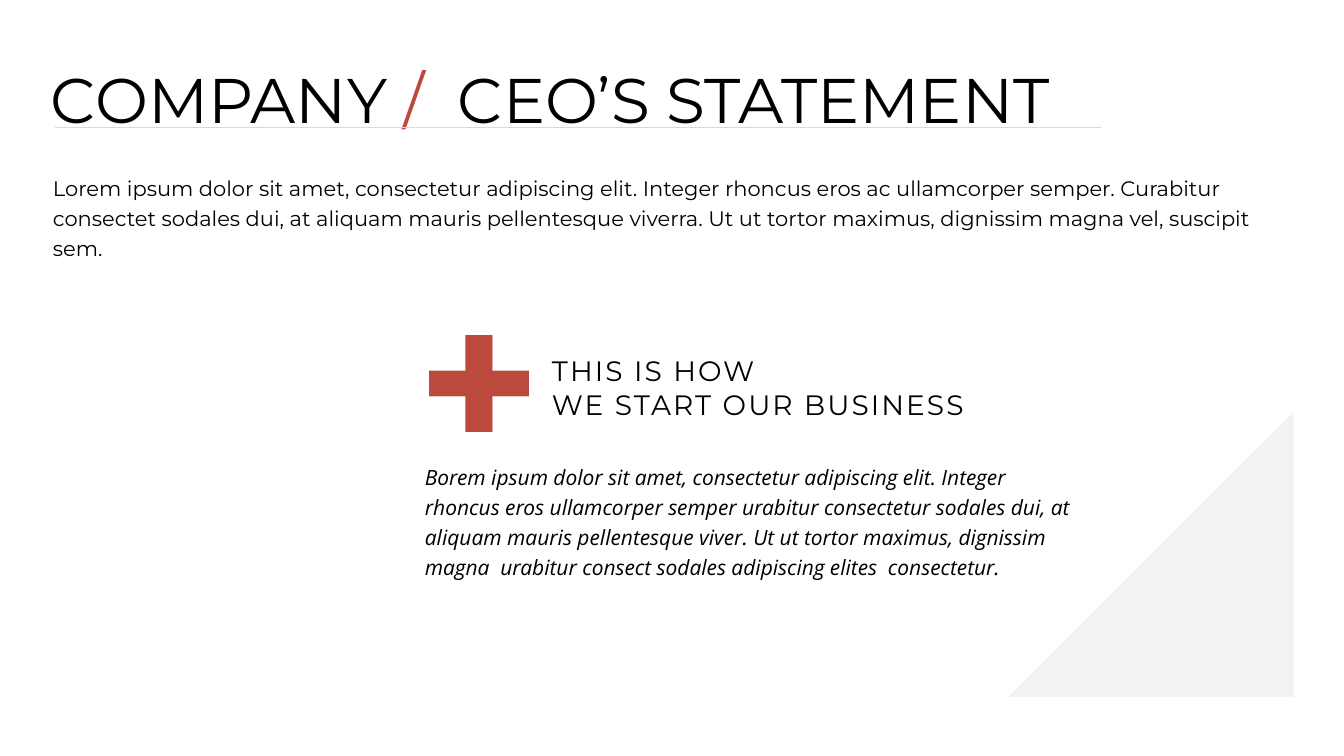
from collections import namedtuple
from dataclasses import dataclass

from lxml import etree
from pptx import Presentation
from pptx.dml.color import RGBColor
from pptx.enum import shapes, text
from pptx.oxml import ns
from pptx.util import Pt

Box = namedtuple("Box", "x y w h")


@dataclass(frozen=True)
class Theme:
    heading: str = "Montserrat"
    quote: str = "Open Sans"
    ink: str = "000000"
    accent: str = "BB493C"
    rule: str = "D9D9D9"
    corner: str = "F2F2F2"
    title_size: int = 90
    body_size: int = 30
    subhead_size: int = 40
    plus_size: int = 300


THEME = Theme()


def rgb(value):
    return RGBColor.from_string(value)


def place(sp, box):
    sp.left, sp.top, sp.width, sp.height = (Pt(v) for v in box)


def text_box(s, box):
    return s.shapes.add_textbox(*(Pt(v) for v in box))


def style(run, size, name=THEME.heading, color=THEME.ink, bold=False, italic=False):
    f = run.font
    f.size, f.name, f.bold, f.italic = Pt(size), name, bold, italic
    f.color.rgb = rgb(color)


def set_frame(sp, content, spacing):
    tf = sp.text_frame
    tf.word_wrap = True
    tf.auto_size = text.MSO_AUTO_SIZE.NONE
    tf.vertical_anchor = text.MSO_ANCHOR.TOP
    tf.text = content
    for p in tf.paragraphs:
        p.alignment = text.PP_ALIGN.LEFT
        p.line_spacing = spacing
        p.space_before = Pt(0)
    return tf


def add_title(s, box, parts):
    sp = s.shapes.title
    place(sp, box)
    p = set_frame(sp, "", 0.8).paragraphs[0]
    for content, color in parts:
        r = p.add_run()
        r.text = content
        style(r, THEME.title_size, color=color)


def add_rule(s, box):
    line = s.shapes.add_connector(
        shapes.MSO_CONNECTOR.STRAIGHT,
        Pt(box.x), Pt(box.y), Pt(box.x + box.w), Pt(box.y + box.h))
    line.line.color.rgb = rgb(THEME.rule)
    line.line.width = Pt(0.5)
    etree.SubElement(line._element.spPr, ns.qn("a:effectLst"))


def add_corner(s, box):
    sp = s.shapes.add_shape(
        shapes.MSO_SHAPE.RIGHT_TRIANGLE, *(Pt(v) for v in box))
    sp.shadow.inherit = False
    sp.fill.solid()
    sp.fill.fore_color.rgb = rgb(THEME.corner)
    sp.line.fill.background()
    sp._element.spPr.xfrm.set("flipH", "1")


def add_intro(s, box, content):
    sp = s.placeholders[1]
    place(sp, box)
    p = set_frame(sp, content, 1.2).paragraphs[0]
    pPr = p._p.get_or_add_pPr()
    pPr.set("marL", "0")
    pPr.set("indent", "0")
    etree.SubElement(pPr, ns.qn("a:buNone"))
    style(p.runs[0], THEME.body_size)


def add_statement(s, box, heading, content):
    plus = text_box(s, Box(box.x, box.y, 177, 298))
    tf = set_frame(plus, "+", 0.8)
    style(tf.paragraphs[0].runs[0], THEME.plus_size, color=THEME.accent, bold=True)

    quote = text_box(s, Box(box.x + 12.25, box.y + 232.5, box.w - 12.25, box.h - 232.5))
    tf = set_frame(quote, content, 1.2)
    style(tf.paragraphs[0].runs[0], THEME.body_size, THEME.quote, italic=True)

    subhead = text_box(s, Box(box.x + 193.7, box.y + 82, 706, 104.5))
    tf = set_frame(subhead, heading, 1.0)
    for p in tf.paragraphs:
        r = p.runs[0]
        style(r, THEME.subhead_size)
        r._r.get_or_add_rPr().set("spc", "300")


def main():
    prs = Presentation()
    prs.slide_width, prs.slide_height = Pt(1919.5), Pt(1080)
    s = prs.slides.add_slide(prs.slide_layouts[1])
    s.background.fill.solid()
    s.background.fill.fore_color.rgb = rgb("FFFFFF")

    add_title(s, Box(65.5, 103.7, 1590.5, 94.3), [
        ("COMPANY ", THEME.ink),
        ("/", THEME.accent),
        ("  CEO’S STATEMENT", THEME.ink),
    ])
    add_rule(s, Box(78.5, 181.5, 1493.3, 0))
    add_corner(s, Box(1440, 588.2, 407.5, 407.5))
    add_intro(
        s, Box(68.4, 239.8, 1777.7, 140),
        "Lorem ipsum dolor sit amet, consectetur adipiscing elit. Integer rhoncus "
        "eros ac ullamcorper semper. Curabitur consectet sodales dui, at aliquam "
        "mauris pellentesque viverra. Ut ut tortor maximus, dignissim magna vel, "
        "suscipit sem.")
    add_statement(
        s, Box(587.5, 419.8, 951.1, 414),
        "THIS IS HOW\nWE START OUR BUSINESS",
        "Borem ipsum dolor sit amet, consectetur adipiscing elit. Integer rhoncus "
        "eros ullamcorper semper urabitur consectetur sodales dui, at aliquam "
        "mauris pellentesque viver. Ut ut tortor maximus, dignissim magna  urabitur "
        "consect sodales adipiscing elites  consectetur.")
    prs.save("out.pptx")


if __name__ == "__main__":
    main()
